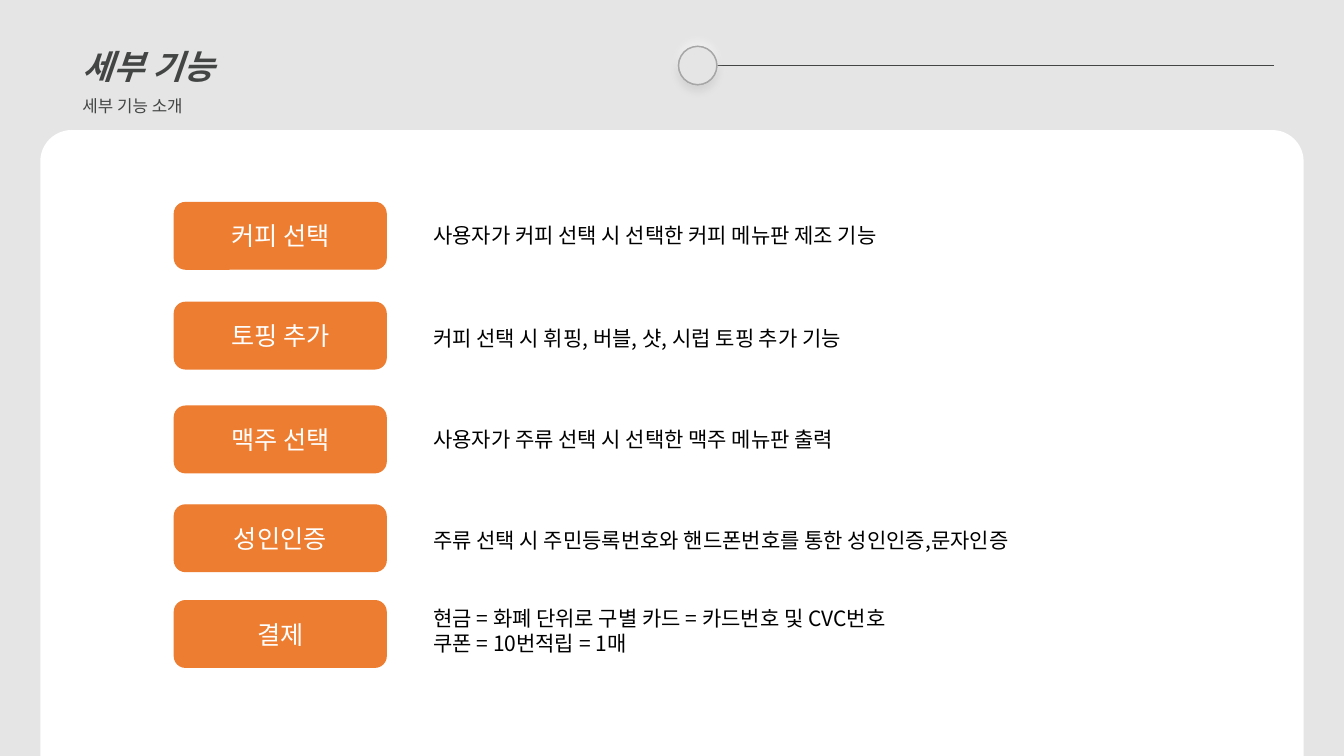
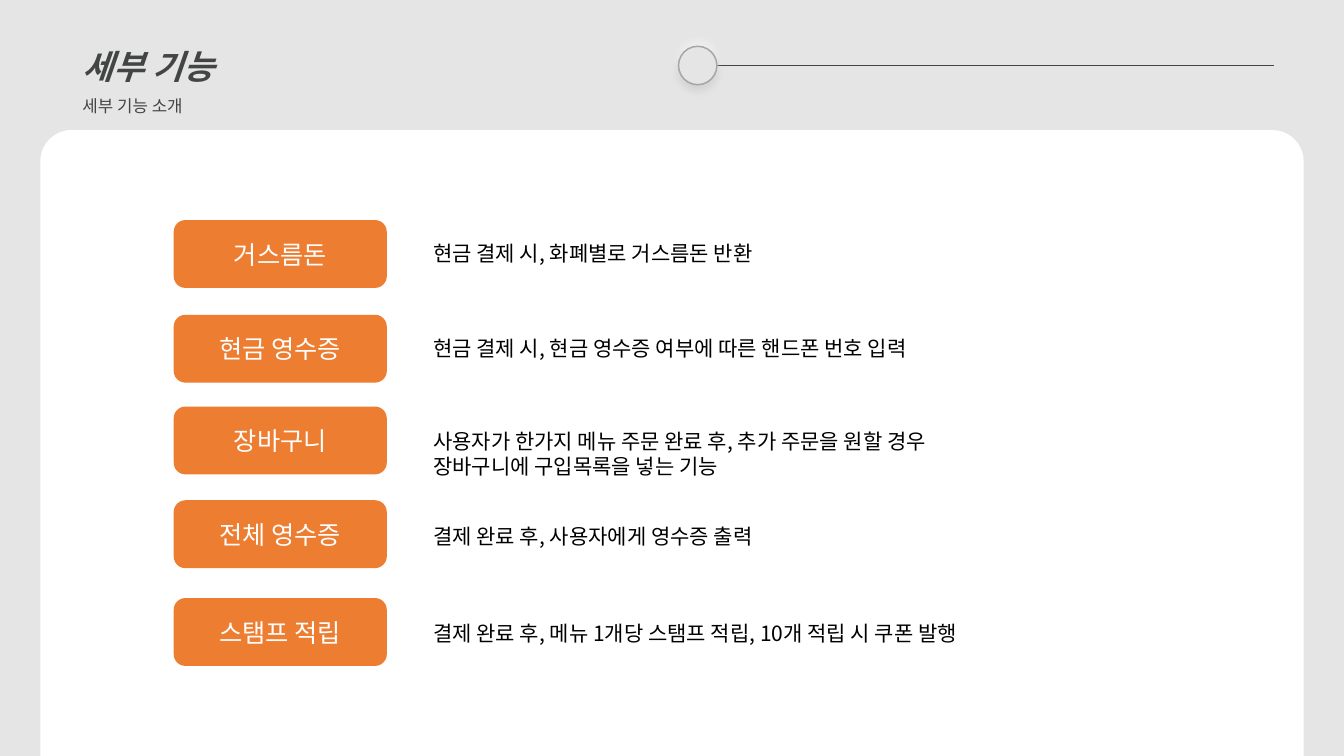
from lxml import etree
from pptx import Presentation
from pptx.dml.color import RGBColor
from pptx.enum.shapes import MSO_CONNECTOR, MSO_SHAPE
from pptx.enum.text import MSO_ANCHOR, MSO_AUTO_SIZE, PP_ALIGN
from pptx.oxml.ns import qn
from pptx.util import Inches, Pt

LINE = MSO_CONNECTOR.STRAIGHT
OVAL, ROUNDED = MSO_SHAPE.OVAL, MSO_SHAPE.ROUNDED_RECTANGLE
TOP_ROUNDED = MSO_SHAPE.ROUND_2_SAME_RECTANGLE
TOP, MIDDLE = MSO_ANCHOR.TOP, MSO_ANCHOR.MIDDLE
LEFT, CENTER = PP_ALIGN.LEFT, PP_ALIGN.CENTER
NO_AUTOSIZE = MSO_AUTO_SIZE.NONE

FONT = "Noto Sans CJK KR"
COLORS = {
    "back": "E5E5E5", "knob": "E8E8E8", "knob_edge": "A6A6A6",
    "heading": "434544", "card": "FFFFFF", "label": "ED7D31",
    "label_text": "FFFFFF", "text": "000000",
}
# Row: label top, label, description lines, drop of the description
SLIDES = [
    [
        (2.01, "커피 선택", ["사용자가 커피 선택 시 선택한 커피 메뉴판 제조 기능"], 0.15),
        (3.0, "토핑 추가", ["커피 선택 시 휘핑, 버블, 샷, 시럽 토핑 추가 기능"], 0.18),
        (4.03, "맥주 선택", ["사용자가 주류 선택 시 선택한 맥주 메뉴판 출력"], 0.15),
        (5.01, "성인인증",
         ["주류 선택 시 주민등록번호와 핸드폰번호를 통한 성인인증,문자인증"], 0.17),
        (5.96, "결제", ["현금 = 화폐 단위로 구별 카드 = 카드번호 및 CVC번호",
                      "쿠폰 = 10번적립 = 1매"], 0),
    ],
    [
        (2.19, "거스름돈", ["현금 결제 시, 화폐별로 거스름돈 반환"], 0.15),
        (3.13, "현금 영수증",
         ["현금 결제 시, 현금 영수증 여부에 따른 핸드폰 번호 입력"], 0.15),
        (4.04, "장바구니", ["사용자가 한가지 메뉴 주문 완료 후, 추가 주문을 원할 경우",
                        "장바구니에 구입목록을 넣는 기능"], 0.16),
        (4.97, "전체 영수증", ["결제 완료 후, 사용자에게 영수증 출력"], 0.17),
        (5.94, "스탬프 적립",
         ["결제 완료 후, 메뉴 1개당 스탬프 적립, 10개 적립 시 쿠폰 발행"], 0.17),
    ],
]


def rgb(name):
    return RGBColor.from_string(COLORS[name])


def write(sp, *lines, size, color, bold=False, italic=False, align=LEFT, anchor=TOP):
    tf = sp.text_frame
    tf.word_wrap = True
    tf.auto_size = NO_AUTOSIZE
    tf.vertical_anchor = anchor
    for i, line in enumerate(lines):
        p = tf.add_paragraph() if i else tf.paragraphs[0]
        p.alignment = align
        p.line_spacing = Pt(size * 1.2)
        r = p.add_run()
        r.text = line
        font = r.font
        font.name, font.size = FONT, Pt(size)
        font.bold, font.italic = bold, italic
        font.color.rgb = rgb(color)
        etree.SubElement(r._r.get_or_add_rPr(), qn("a:ea"), typeface=FONT)


def add_box(s, kind, x, y, w, h, fill=None, line=None):
    sp = s.shapes.add_shape(kind, Inches(x), Inches(y), Inches(w), Inches(h))
    sp.shadow.inherit = False
    if fill:
        sp.fill.solid()
        sp.fill.fore_color.rgb = rgb(fill)
    if line:
        sp.line.color.rgb = rgb(line)
        sp.line.width = Pt(1)
    else:
        sp.line.fill.background()
    return sp


def add_text(s, x, y, w, h, *lines, **style):
    sp = s.shapes.add_textbox(Inches(x), Inches(y), Inches(w), Inches(h))
    write(sp, *lines, **style)


def add_knob(s, x, y, size, shadow, alpha, angle):
    sp = add_box(s, OVAL, x, y, size, size, line="knob_edge")
    # Radial gradient
    sp.fill.gradient()
    for stop, name in zip(sp.fill.gradient_stops, ("knob", "back")):
        stop.color.rgb = rgb(name)
    spPr = sp._element.spPr
    grad = spPr.find(qn("a:gradFill"))
    grad.remove(grad.find(qn("a:lin")))
    radial = etree.SubElement(grad, qn("a:path"), path="circle")
    etree.SubElement(radial, qn("a:fillToRect"),
                     dict.fromkeys("ltrb", "50000"))
    # Soft shadow
    outer = etree.SubElement(
        spPr.find(qn("a:effectLst")), qn("a:outerShdw"), blurRad=str(Pt(6)),
        dist=str(Pt(4)), dir=str(angle * 60000), algn="ctr", rotWithShape="0")
    clr = etree.SubElement(outer, qn("a:srgbClr"), val=shadow)
    etree.SubElement(clr, qn("a:alpha"), val=str(alpha * 1000))


def add_header(s, x, y):
    # Rule with a raised knob at its left end
    rule_x, rule_y, knob = x + 6.01, y + 0.24, 0.38
    line = s.shapes.add_connector(LINE, Inches(rule_x), Inches(rule_y),
                                  Inches(rule_x + 5.91), Inches(rule_y))
    line.line.color.rgb = rgb("heading")
    line.line.width = Pt(0.5)
    etree.SubElement(line._element.spPr, qn("a:effectLst"))
    for shadow, alpha, angle in (("000000", 8, 90), ("FFFFFF", 40, 270)):
        add_knob(s, rule_x, rule_y - knob / 2, knob, shadow, alpha, angle)
    # Title and subtitle
    title = s.shapes.title
    title.left, title.top = Inches(x), Inches(y)
    title.width, title.height = Inches(5.1), Inches(0.5)
    write(title, "세부 기능", size=24, color="heading", bold=True, italic=True)
    add_text(s, x, y + 0.49, 5.1, 0.3, "세부 기능 소개", size=12, color="heading")


def add_feature(s, x, y, label, lines, drop):
    sp = add_box(s, ROUNDED, x, y, 2.1, 0.66, fill="label", line="label")
    write(sp, label, size=18, color="label_text", align=CENTER, anchor=MIDDLE)
    add_text(s, x + 2.47, y + drop, 7, 0.1 + 0.25 * len(lines), *lines,
             size=15, color="text")


def add_feature_slide(prs, rows):
    s = prs.slides.add_slide(prs.slide_layouts[5])
    add_header(s, 0.72, 0.41)
    card = add_box(s, TOP_ROUNDED, 0.4, 1.29, 12.53, 6.21, fill="card")
    card.adjustments[0] = 0.05
    for top, label, lines, drop in rows:
        add_feature(s, 1.73, top, label, lines, drop)


def main():
    prs = Presentation()
    prs.slide_width, prs.slide_height = Inches(13.33), Inches(7.5)
    back = prs.slide_master.background.fill
    back.solid()
    back.fore_color.rgb = rgb("back")
    for rows in SLIDES:
        add_feature_slide(prs, rows)
    prs.save("out.pptx")


if __name__ == "__main__":
    main()
